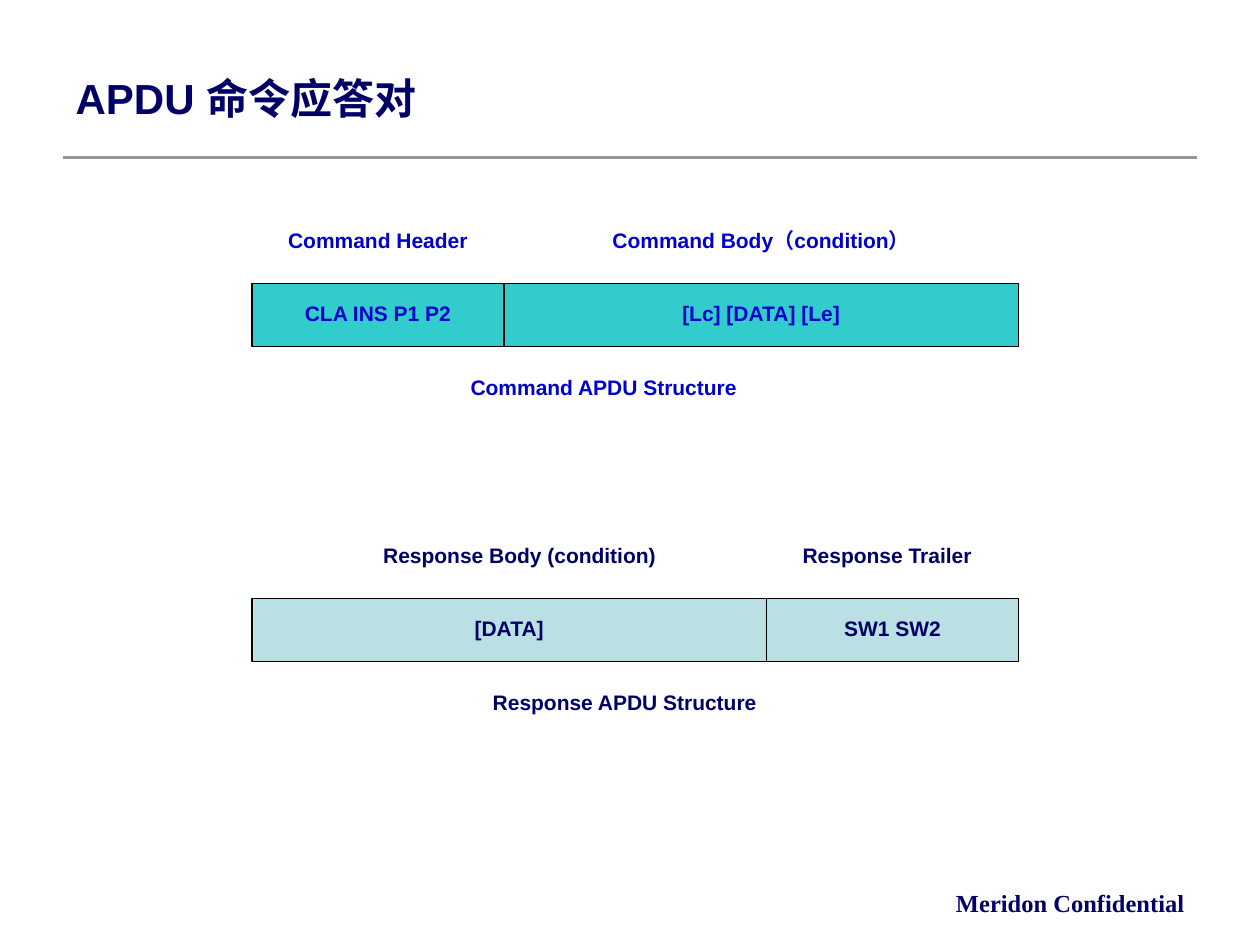
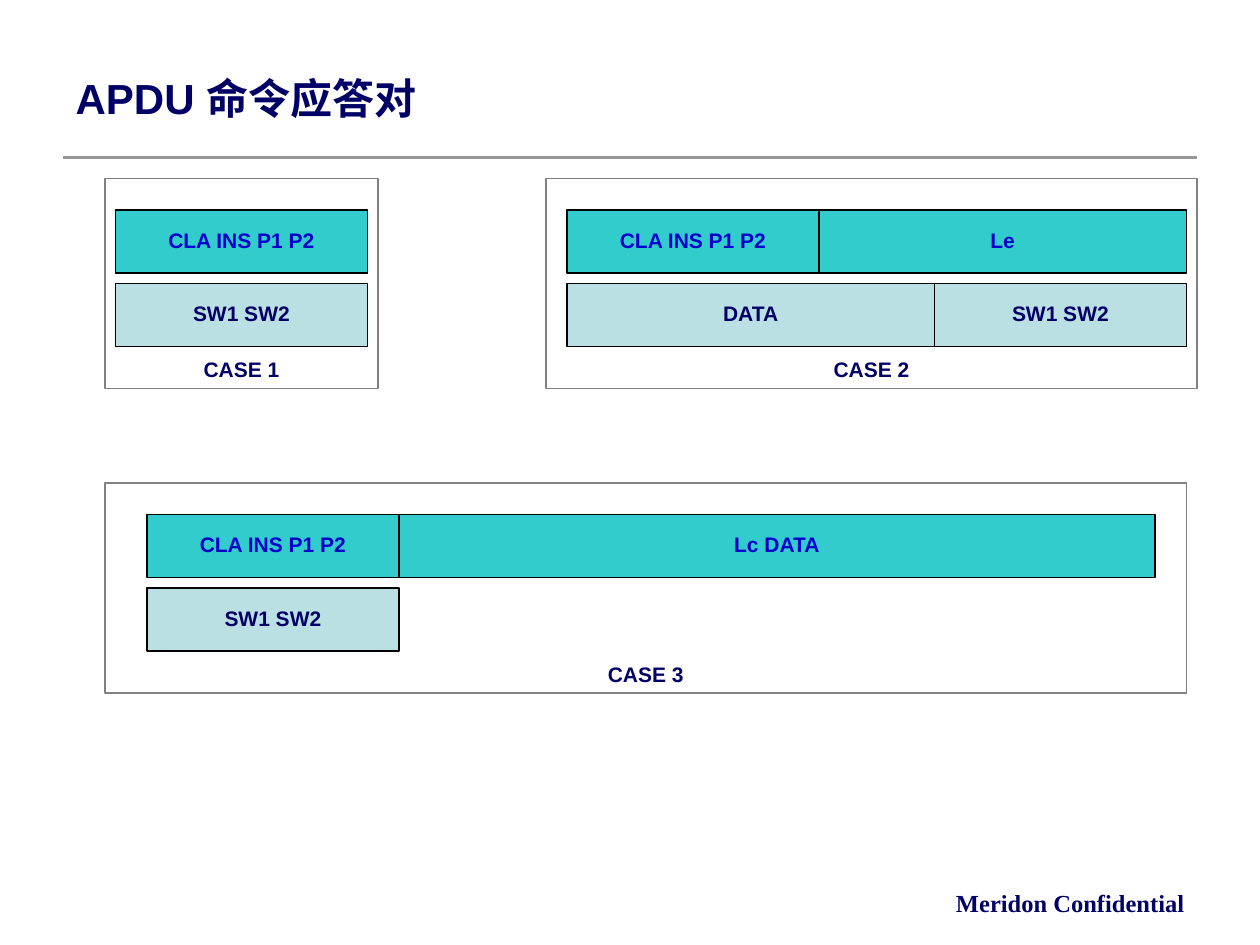
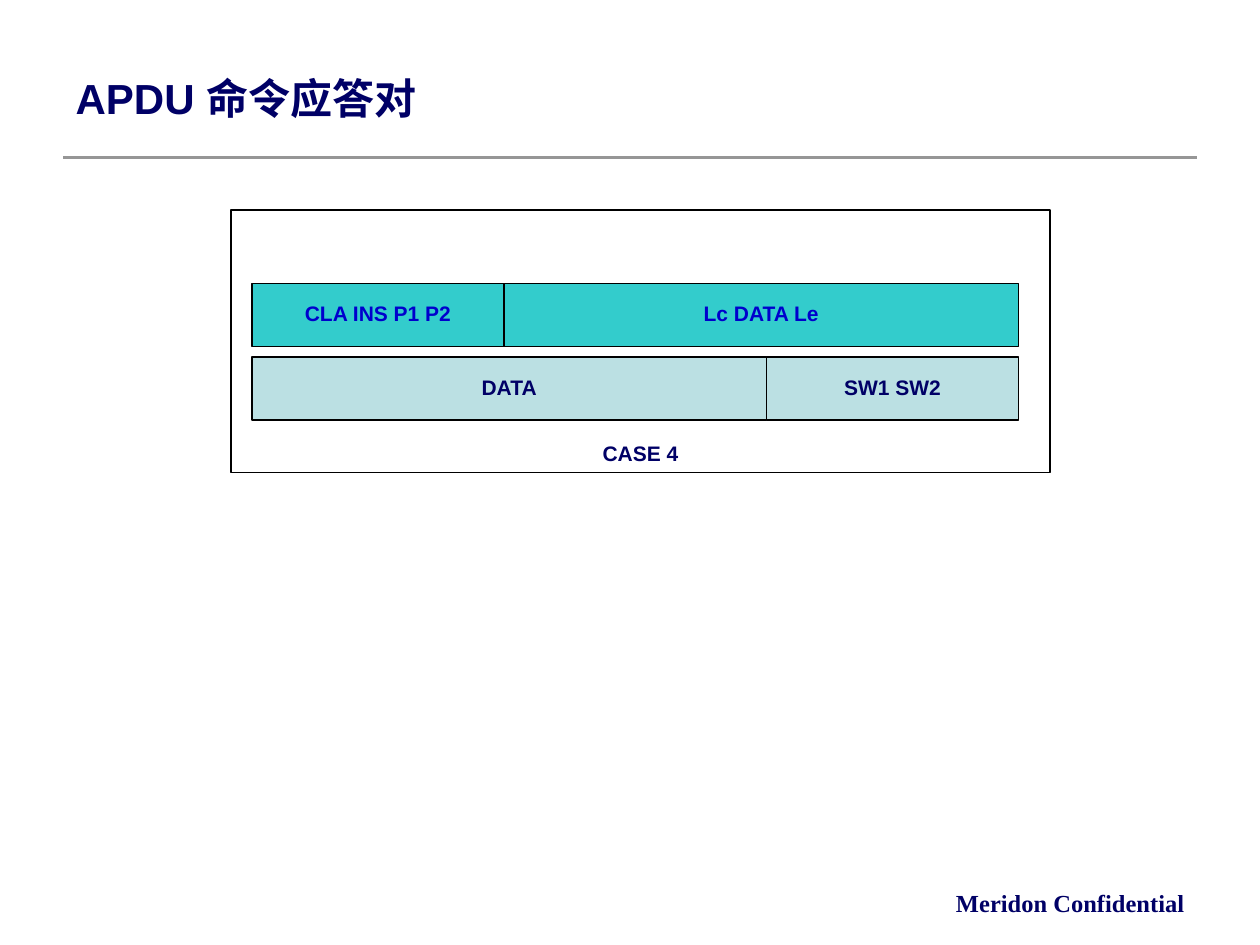
"""Build three slides on APDU command and response pairs."""
import lxml.etree
import pptx
import pptx.dml.color
import pptx.enum.shapes
import pptx.enum.text
import pptx.oxml.ns
import pptx.util

PX = 9525
ALIGN = pptx.enum.text.PP_ALIGN
ANCHOR = pptx.enum.text.MSO_ANCHOR
COLORS = {
    "white": "FFFFFF", "black": "000000", "gray": "808080", "rule": "969696",
    "navy": "000066", "blue": "0000CC", "teal": "33CCCC", "pale": "BBE0E3",
}
KINDS = {"command": ("teal", "blue"), "response": ("pale", "navy")}
FONTS = {
    "title": {"name": "Arial", "size": pptx.util.Pt(24), "bold": True},
    "body": {"name": "Arial", "size": pptx.util.Pt(12), "bold": True},
    "footer": {"name": "Times New Roman", "size": pptx.util.Pt(14), "bold": True},
}
PARAS = {
    "title": {"alignment": ALIGN.LEFT},
    "cell": {"alignment": ALIGN.CENTER, "line_spacing": 0.9, "space_before": pptx.util.Pt(7.5)},
    "caption": {"alignment": ALIGN.CENTER, "line_spacing": 0.9, "space_before": pptx.util.Pt(3)},
    "footer": {"alignment": ALIGN.RIGHT},
}
FRAME = {
    "margin_left": pptx.util.Inches(0.1), "margin_right": pptx.util.Inches(0.1),
    "margin_top": pptx.util.Inches(0.05), "margin_bottom": pptx.util.Inches(0.05),
    "auto_size": pptx.enum.text.MSO_AUTO_SIZE.NONE,
}
BAR_HEIGHT = 48
ROW_STEP = 56

STRUCTURES = [
    ("command", [(192, 160, 192, "Command Header"), (384, 160, 392, "Command Body（condition）")],
     (328, 280, "Command APDU Structure"),
     (192, 216, [(192, "CLA INS P1 P2"), (392, "[Lc] [DATA] [Le]")])),
    ("response", [(208, 400, 376, "Response Body (condition)"), (576, 400, 200, "Response Trailer")],
     (344, 520, "Response APDU Structure"),
     (192, 456, [(392, "[DATA]"), (192, "SW1 SW2")])),
]
CASE_SLIDES = [
    [("CASE 1", (80, 136, 208, 160), "gray", (88, 160),
      [(192, "CLA INS P1 P2")], [(192, "SW1 SW2")]),
     ("CASE 2", (416, 136, 496, 160), "gray", (432, 160),
      [(192, "CLA INS P1 P2"), (280, "Le")], [(280, "DATA"), (192, "SW1 SW2")]),
     ("CASE 3", (80, 368, 824, 160), "gray", (112, 392),
      [(192, "CLA INS P1 P2"), (576, "Lc DATA")], [(192, "SW1 SW2")])],
    [("CASE 4", (176, 160, 624, 200), "black", (192, 216),
      [(192, "CLA INS P1 P2"), (392, "Lc DATA Le")], [(392, "DATA"), (192, "SW1 SW2")])],
]


def emu(lengths):
    """Turn px lengths into EMU."""
    return [length * PX for length in lengths]


def color(name):
    """Look up a named colour."""
    return pptx.dml.color.RGBColor.from_string(COLORS[name])


def set_format(target, values):
    """Set every attribute in a dict of format values."""
    for name, value in values.items():
        setattr(target, name, value)


class SlideBuilder:
    """Hold the style and the current slide."""

    def __init__(self, deck):
        """Start with an empty deck."""
        self.deck = deck
        self.page = None

    def start(self):
        """Add a slide with its title, rule and footer."""
        self.page = self.deck.slides.add_slide(self.deck.slide_layouts[5])
        self.rule(48, 912, 120)
        title = self.page.shapes.title
        set_format(title, dict(zip(("left", "top", "width", "height"), emu((48, 29, 864, 91)))))
        self.fill_text(title, "APDU 命令应答对", "navy", "title", "title")
        self.text((608, 672, 304, 32), "Meridon Confidential", "navy", "footer", "footer", ANCHOR.TOP)

    def fill_text(self, box, text, ink, para_style, font, anchor=ANCHOR.MIDDLE, wrap=True):
        """Put one formatted paragraph in a box."""
        frame = box.text_frame
        set_format(frame, {**FRAME, "vertical_anchor": anchor, "word_wrap": wrap})
        para = frame.paragraphs[0]
        set_format(para, PARAS[para_style])
        span = para.add_run()
        span.text = text
        set_format(span.font, FONTS[font])
        span.font.color.rgb = color(ink)

    def rule(self, left, right, top):
        """Draw the line under the title."""
        line = self.page.shapes.add_connector(
            pptx.enum.shapes.MSO_CONNECTOR.STRAIGHT, *emu((left, top, right, top)))
        line.line.color.rgb = color("rule")
        line.line.width = pptx.util.Pt(2.25)
        lxml.etree.SubElement(line._element.spPr, pptx.oxml.ns.qn("a:effectLst"))

    def text(self, place, text, ink, para_style="cell", font="body", anchor=ANCHOR.MIDDLE):
        """Add a text box."""
        box = self.page.shapes.add_textbox(*emu(place))
        self.fill_text(box, text, ink, para_style, font, anchor)

    def rectangle(self, place, text, fill, outline, ink, para_style="cell", **layout):
        """Add a filled rectangle with text."""
        box = self.page.shapes.add_shape(pptx.enum.shapes.MSO_SHAPE.RECTANGLE, *emu(place))
        box.shadow.inherit = False
        box.fill.solid()
        box.fill.fore_color.rgb = color(fill)
        box.line.color.rgb = color(outline)
        box.line.width = pptx.util.Pt(0.75)
        self.fill_text(box, text, ink, para_style, "body", **layout)

    def bar(self, kind, left, top, fields):
        """Lay the fields of one message side by side."""
        fill, ink = KINDS[kind]
        for width, text in fields:
            self.rectangle((left, top, width, BAR_HEIGHT), text, fill, "black", ink)
            left += width

    def structure(self, kind, labels, caption, bar):
        """Draw a message with labels above and a caption below."""
        ink = KINDS[kind][1]
        for left, top, width, text in labels:
            self.text((left, top, width, BAR_HEIGHT), text, ink)
        left, top, text = caption
        self.rectangle((left, top, 264, 32), text, "white", "white", ink, "caption", wrap=False)
        self.bar(kind, *bar)

    def case(self, name, place, outline, origin, command, response):
        """Draw a framed command and response pair."""
        self.rectangle(place, name, "white", outline, "navy", "caption",
                       anchor=ANCHOR.BOTTOM, wrap=False)
        left, top = origin
        self.bar("command", left, top, command)
        self.bar("response", left, top + ROW_STEP, response)


def main():
    """Build and save the deck."""
    deck = pptx.Presentation()
    deck.slide_width, deck.slide_height = emu((960, 720))
    builder = SlideBuilder(deck)
    builder.start()
    for structure in STRUCTURES:
        builder.structure(*structure)
    for cases in CASE_SLIDES:
        builder.start()
        for case in cases:
            builder.case(*case)
    deck.save("out.pptx")


if __name__ == "__main__":
    main()
